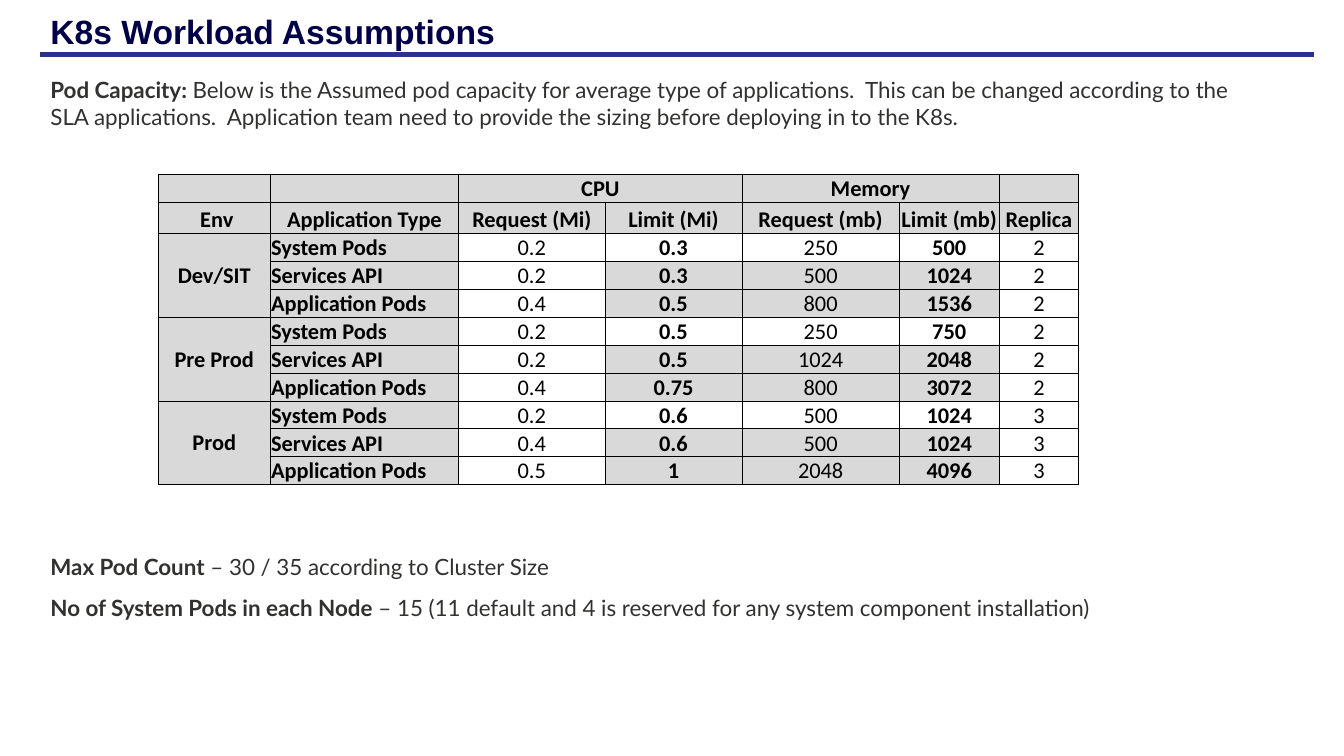
"""Build the slide of pod capacity assumptions for a cluster workload."""
import pptx
import pptx.dml.color
import pptx.enum.shapes
import pptx.enum.text
import pptx.oxml
import pptx.util
from lxml import etree
from pptx.oxml.ns import qn

Inches = pptx.util.Inches
Pt = pptx.util.Pt
ANCHOR = pptx.enum.text.MSO_ANCHOR
ALIGN = pptx.enum.text.PP_ALIGN

NAVY, RULE, BODY, BLACK, GREY = "000048", "2E308E", "323130", "000000", "D9D9D9"

COLUMN_WIDTHS = [1.11, 1.87, 1.45, 1.36, 1.56, 0.99, 0.79]
ROW_HEIGHTS = [0.27, 0.31] + [0.27] * 9
HEADINGS = [
    ["", "", "CPU", "", "Memory", "", ""],
    [" Env", "Application Type", "Request (Mi)", "Limit (Mi)",
     "Request (mb)", "Limit (mb)", "Replica"],
]
POD_TYPES = ["System Pods", "Services API", "Application Pods"]
CAPACITY = {
    "Dev/SIT": [["0.2", "0.3", "250", "500", "2"],
                ["0.2", "0.3", "500", "1024", "2"],
                ["0.4", "0.5", "800", "1536", "2"]],
    "Pre Prod": [["0.2", "0.5", "250", "750", "2"],
                 ["0.2", "0.5", "1024", "2048", "2"],
                 ["0.4", "0.75", "800", "3072", "2"]],
    "Prod": [["0.2", "0.6", "500", "1024", "3"],
             ["0.4", "0.6", "500", "1024", "3"],
             ["0.5", "1", "2048", "4096", "3"]],
}


def rgb(value):
    return pptx.dml.color.RGBColor.from_string(value)


def write(paragraph, text, *, font, size=16, color=BLACK, bold=False):
    if not text:
        etree.SubElement(paragraph._p, qn("a:endParaRPr"), sz=str(size * 100))
        return
    run = paragraph.add_run()
    run.text = text
    run.font.name = font
    run.font.size = Pt(size)
    run.font.bold = bold
    run.font.color.rgb = rgb(color)


class SlideBuilder:
    def __init__(self, slide):
        self.slide = slide
        self.title_style = dict(font="Arial", size=24, color=NAVY, bold=True)
        self.body_style = dict(font="Lato", color=BODY)
        self.cell_font = "Calibri"

    def text_box(self, left, top, width, height):
        frame = self.slide.shapes.add_textbox(
            Inches(left), Inches(top), Inches(width), Inches(height)).text_frame
        frame.word_wrap = True
        frame.margin_left = frame.margin_right = 0
        frame.margin_top = frame.margin_bottom = 0
        return frame

    def title(self, text, *box):
        write(self.text_box(*box).paragraphs[0], text, **self.title_style)

    def notes(self, entries, *box):
        frame = self.text_box(*box)
        for index, (lead, detail) in enumerate(entries):
            paragraph = frame.add_paragraph() if index else frame.paragraphs[0]
            if index:
                paragraph.space_before = Pt(10)
            write(paragraph, lead, bold=True, **self.body_style)
            write(paragraph, detail, **self.body_style)

    def rule(self, left, right, y):
        rule = self.slide.shapes.add_connector(
            pptx.enum.shapes.MSO_CONNECTOR.STRAIGHT,
            Inches(left), Inches(y), Inches(right), Inches(y))
        rule.line.color.rgb = rgb(RULE)
        rule.line.width = Pt(3)
        etree.SubElement(rule._element.spPr, qn("a:effectLst"))

    def borders(self, cell):
        properties = cell._tc.get_or_add_tcPr()
        for position, side in enumerate(("lnL", "lnR", "lnT", "lnB")):
            border = etree.Element(qn(f"a:{side}"), w=str(Pt(0.5)))
            fill = etree.SubElement(border, qn("a:solidFill"))
            etree.SubElement(fill, qn("a:srgbClr"), val=BLACK)
            properties.insert(position, border)

    def cell(self, cell, text, *, bold, shaded, align, anchor):
        cell.margin_left = cell.margin_right = cell.margin_top = Inches(0.01)
        cell.margin_bottom = 0
        cell.vertical_anchor = anchor
        paragraph = cell.text_frame.paragraphs[0]
        paragraph.alignment = align
        write(paragraph, text, font=self.cell_font, bold=bold)
        if shaded:
            cell.fill.solid()
            cell.fill.fore_color.rgb = rgb(GREY)
        else:
            cell.fill.background()
        self.borders(cell)

    def capacity_table(self, left, top):
        rows = list(HEADINGS)
        for env, values in CAPACITY.items():
            for index, (pod, numbers) in enumerate(zip(POD_TYPES, values)):
                rows.append(["" if index else env, pod] + numbers)
        table = self.slide.shapes.add_table(
            len(rows), len(COLUMN_WIDTHS), Inches(left), Inches(top),
            Inches(sum(COLUMN_WIDTHS)), Inches(sum(ROW_HEIGHTS))).table
        table.first_row = table.horz_banding = False
        for column, width in zip(table.columns, COLUMN_WIDTHS):
            column.width = Inches(width)
        for row, height in zip(table.rows, ROW_HEIGHTS):
            row.height = Inches(height)
        for r, row in enumerate(rows):
            heading = r < len(HEADINGS)
            for c, text in enumerate(row):
                limits = c in (3, 4, 5) and row[1] != POD_TYPES[0]
                self.cell(
                    table.cell(r, c), text,
                    bold=heading or c in (0, 1, 3, 5),
                    shaded=heading or c < 2 or limits,
                    align=ALIGN.LEFT if c == 1 and not heading else ALIGN.CENTER,
                    anchor=ANCHOR.MIDDLE if c == 0 and not heading else ANCHOR.BOTTOM)
        for c in (2, 4):
            table.cell(0, c).merge(table.cell(0, c + 1))
        for r in range(len(HEADINGS), len(rows), len(POD_TYPES)):
            table.cell(r, 0).merge(table.cell(r + len(POD_TYPES) - 1, 0))


def main():
    deck = pptx.Presentation()
    deck.slide_width, deck.slide_height = Inches(13.33), Inches(7.5)
    builder = SlideBuilder(deck.slides.add_slide(deck.slide_layouts[6]))
    builder.title("K8s Workload Assumptions", 0.5, 0.11, 11.82, 0.34)
    builder.notes([
        ("Pod Capacity: ",
         "Below is the Assumed pod capacity for average type of applications.  "
         "This can be changed according to the SLA applications.  Application team "
         "need to provide the sizing before deploying in to the K8s."),
    ], 0.5, 0.76, 11.82, 0.6)
    builder.rule(0.4, 13.03, 0.54)
    builder.capacity_table(1.57, 1.73)
    builder.notes([
        ("Max Pod Count", " – 30 / 35 according to Cluster Size"),
        ("No of System Pods in each Node",
         " – 15 (11 default and 4 is reserved for any system component installation)"),
    ], 0.5, 5.49, 11.82, 0.7)
    deck.save("out.pptx")


if __name__ == "__main__":
    main()
